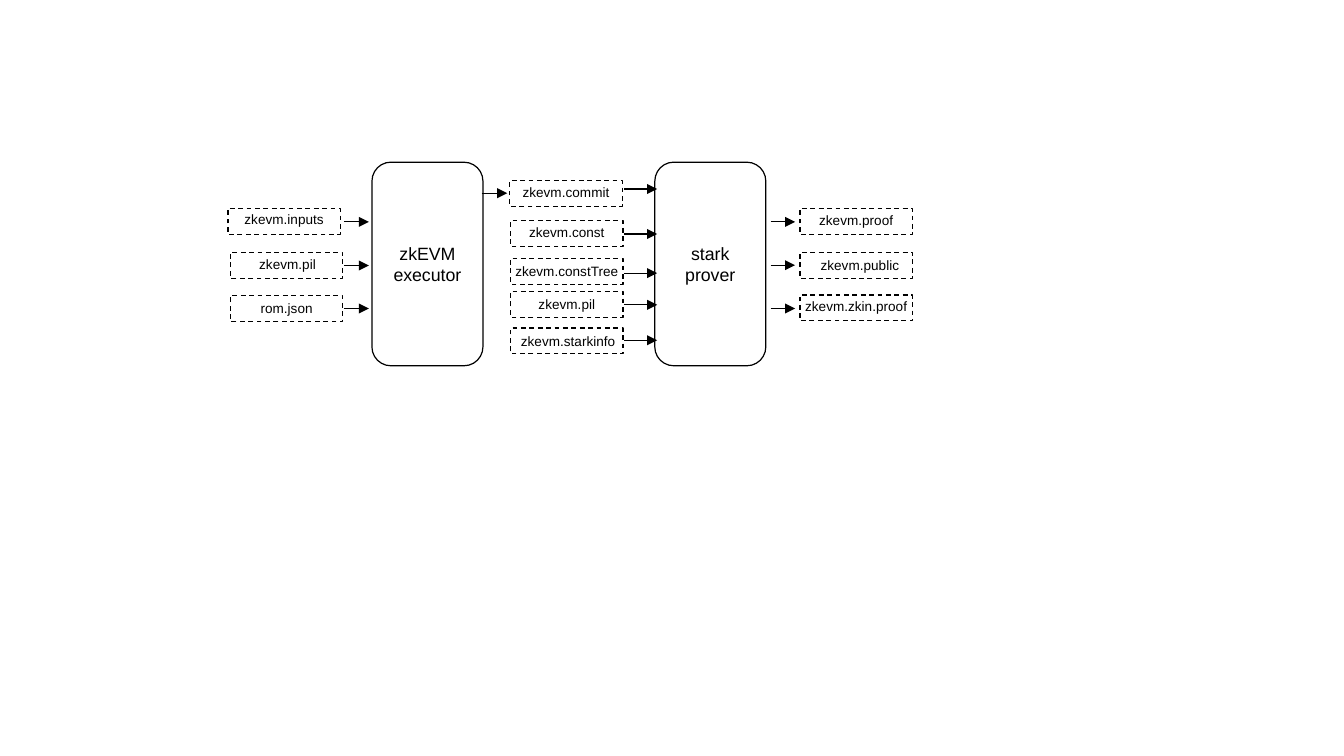
"""Draw the zkEVM executor and stark prover flow with their files."""
from dataclasses import dataclass

from lxml import etree
from pptx import Presentation
from pptx.dml.color import RGBColor
from pptx.enum.dml import MSO_LINE
from pptx.enum.shapes import MSO_CONNECTOR, MSO_SHAPE
from pptx.enum.text import MSO_ANCHOR, PP_ALIGN
from pptx.oxml.ns import qn
from pptx.util import Pt

RECT = MSO_SHAPE.RECTANGLE
ROUND = MSO_SHAPE.ROUNDED_RECTANGLE
LINE = MSO_CONNECTOR.STRAIGHT
DASH = MSO_LINE.DASH
MID = MSO_ANCHOR.MIDDLE
CENTER = PP_ALIGN.CENTER


@dataclass(frozen=True)
class Theme:
    ink: RGBColor = RGBColor(0, 0, 0)
    paper: RGBColor = RGBColor(255, 255, 255)
    font: str = "Arial"
    small: float = 8
    large: float = 10.5
    stroke: float = 0.71


theme = Theme()
deck = Presentation()
deck.slide_width = Pt(793.44)
deck.slide_height = Pt(446.4)
slide = deck.slides.add_slide(deck.slide_layouts[6])


def add_box(text, *, kind, place, size, wrap=False, pad=0, right=0, up=0):
    box = slide.shapes.add_shape(kind, *[Pt(n) for n in place])
    box.shadow.inherit = False
    box.line.color.rgb = theme.ink
    box.line.width = Pt(theme.stroke)
    frame = box.text_frame
    frame.word_wrap = wrap
    frame.vertical_anchor = MID
    frame.margin_left = Pt(pad + 2 * right)
    frame.margin_right = Pt(pad)
    frame.margin_top = Pt(0)
    frame.margin_bottom = Pt(2 * up)
    frame.text = text
    for para in frame.paragraphs:
        para.alignment = CENTER
        para.font.name = theme.font
        para.font.size = Pt(size)
        para.font.color.rgb = theme.ink
    return box


def add_arrow(start, end, y):
    arrow = slide.shapes.add_connector(LINE, Pt(start), Pt(y), Pt(end), Pt(y))
    arrow.line.color.rgb = theme.ink
    arrow.line.width = Pt(theme.stroke)
    props = arrow.line._get_or_add_ln()
    etree.SubElement(props, qn("a:tailEnd"), type="triangle")
    etree.SubElement(arrow._element.spPr, qn("a:effectLst"))


for text, left in (("zkEVM executor", 219.6), ("stark\nprover", 386.6)):
    stage = add_box(text, kind=ROUND, place=(left, 95.8, 65.5, 120.2),
                    size=theme.large, wrap=True, pad=7.2)
    stage.adjustments[0] = 0.17
    stage.fill.solid()
    stage.fill.fore_color.rgb = theme.paper

groups = (
    ((203, 217.8), (
        ("zkevm.inputs", 134.6, 123.1, 131, 0, 1.5),
        ("zkevm.pil", 136.1, 149, 156.8, 0.5, 0.5),
        ("rom.json", 136.1, 174.6, 182.2, 0, 0.3),
    )),
    ((368.6, 388), (
        ("zkevm.commit", 301, 106.6, 111.6, 0, 0.6),
        ("zkevm.const", 301.5, 130.3, 138.2, 0, 0.7),
        ("zkevm.constTree", 301.5, 152.6, 161.3, 0, 0),
        ("zkevm.pil", 301.5, 172.1, 180, 0, 0),
        ("zkevm.starkinfo", 301.5, 193.7, 200.9, 0.8, 0),
    )),
    ((455, 469.4), (
        ("zkevm.proof", 472.3, 123.1, 131, 0, 0.8),
        ("zkevm.public", 472.3, 149, 156.6, 2.2, 0),
        ("zkevm.zkin.proof", 472.3, 174.2, 182.2, 0, 1),
    )),
)
for (start, end), files in groups:
    for name, left, top, y, right, up in files:
        file = add_box(name, kind=RECT, place=(left, top, 66.4, 15.3),
                       size=theme.small, right=right, up=up)
        file.fill.background()
        file.line.dash_style = DASH
        add_arrow(start, end, y)
add_arrow(284.4, 299.5, 114.1)

deck.save("out.pptx")
